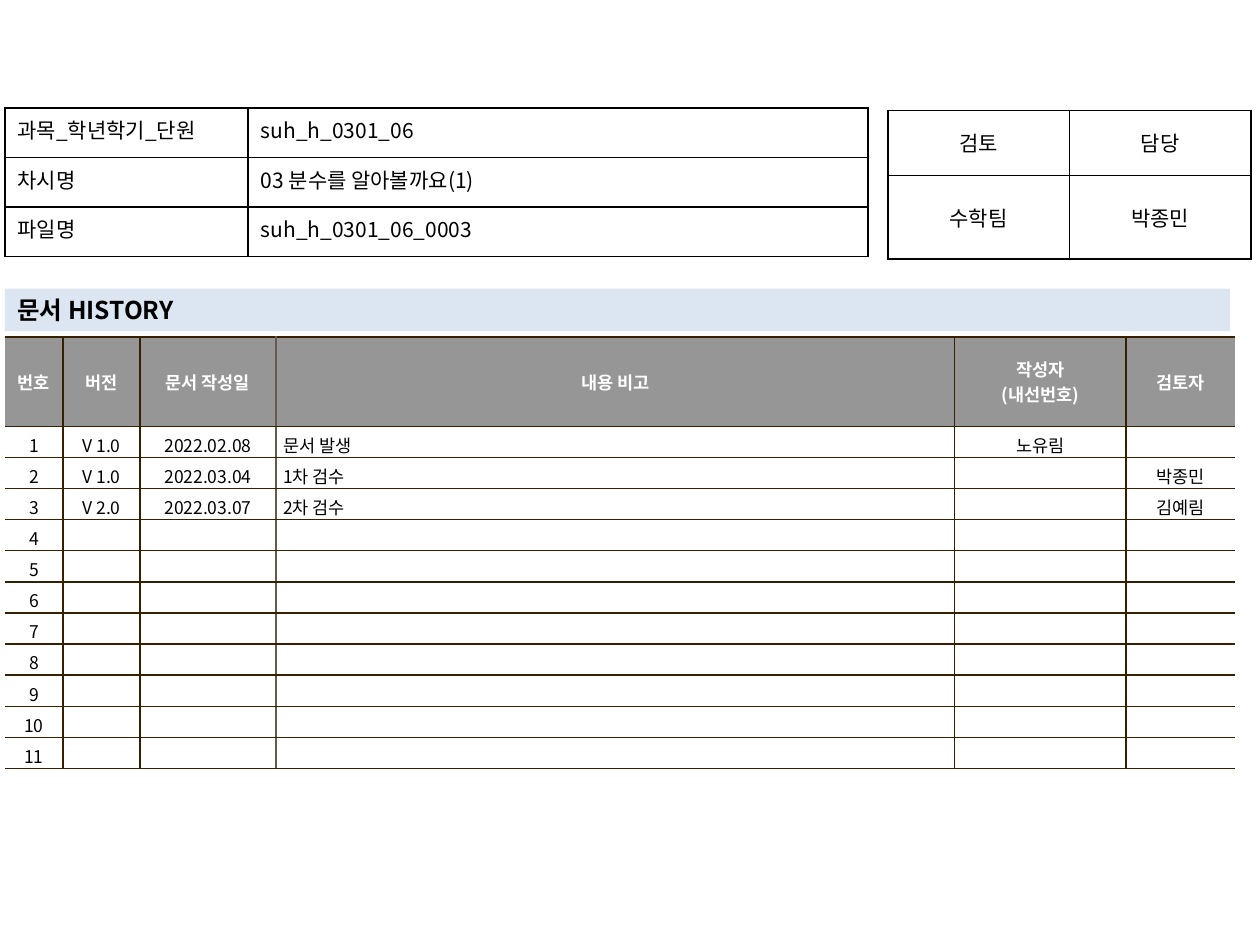
"""Builds a storyboard cover slide with document details and revision history."""
from lxml import etree
from pptx import Presentation
from pptx.dml.color import RGBColor
from pptx.enum.shapes import MSO_SHAPE
from pptx.enum.text import MSO_ANCHOR, PP_ALIGN
from pptx.oxml.ns import qn
from pptx.util import Pt

RECTANGLE = MSO_SHAPE.RECTANGLE
TOP, MIDDLE = MSO_ANCHOR.TOP, MSO_ANCHOR.MIDDLE
LEFT, CENTER, JUSTIFY = PP_ALIGN.LEFT, PP_ALIGN.CENTER, PP_ALIGN.JUSTIFY
FONT = "Noto Sans CJK KR"
BLACK = RGBColor(0x00, 0x00, 0x00)
WHITE = RGBColor(0xFF, 0xFF, 0xFF)
GREY = RGBColor(0x96, 0x96, 0x96)
PALE_BLUE = RGBColor(0xDC, 0xE6, 0xF2)
BROWN = RGBColor(0x36, 0x20, 0x00)
LIGHT_BROWN = RGBColor(0x64, 0x5B, 0x4C)


def write_text(frame, text, size=12, color=BLACK, bold=False, align=LEFT):
    """Fill a text frame with one paragraph per line of text."""
    for index, line in enumerate(text.split("\n")):
        para = frame.add_paragraph() if index else frame.paragraphs[0]
        para.alignment = align
        if not line:
            etree.SubElement(para._p, qn("a:endParaRPr"), sz=str(size * 100))
            continue
        span = para.add_run()
        span.text = line
        span.font.name = FONT
        span.font.size = Pt(size)
        span.font.bold = bold
        span.font.color.rgb = color
        etree.SubElement(span._r.get_or_add_rPr(), qn("a:ea"), typeface=FONT)


def set_borders(cell, colors):
    """Draw left, right, top and bottom cell borders; None leaves a side open."""
    properties = cell._tc.get_or_add_tcPr()
    for index, (side, color) in enumerate(zip(("lnL", "lnR", "lnT", "lnB"), colors)):
        line = etree.Element(qn(f"a:{side}"), w=str(Pt(1)))
        if color is None:
            etree.SubElement(line, qn("a:noFill"))
        else:
            fill = etree.SubElement(line, qn("a:solidFill"))
            etree.SubElement(fill, qn("a:srgbClr"), val=str(color))
        properties.insert(index, line)


def set_cell(cell, text, borders, fill=None, margins=(7.2, 3.6, 3.6), anchor=MIDDLE, **style):
    """Format one table cell and write its text."""
    across, above, below = margins
    cell.margin_left = cell.margin_right = Pt(across)
    cell.margin_top, cell.margin_bottom = Pt(above), Pt(below)
    cell.vertical_anchor = anchor
    if fill is None:
        cell.fill.background()
    else:
        cell.fill.solid()
        cell.fill.fore_color.rgb = fill
    set_borders(cell, borders)
    write_text(cell.text_frame, text, **style)


def add_grid(page, left, top, widths, heights):
    """Add an unbanded table with the given column widths and row heights."""
    frame = page.shapes.add_table(len(heights), len(widths), Pt(left), Pt(top),
                                  Pt(sum(widths)), Pt(sum(heights)))
    table = frame.table
    table.first_row = table.horz_banding = False
    for column, width in zip(table.columns, widths):
        column.width = Pt(width)
    for row, height in zip(table.rows, heights):
        row.height = Pt(height)
    return table


def add_review(page, left, top, width):
    """Add the review and owner table."""
    rows = [("검토", "담당"), ("수학팀", "박종민")]
    table = add_grid(page, left, top, [width / 2] * 2, [37.2, 47.8])
    for y, row in enumerate(rows):
        for x, text in enumerate(row):
            set_cell(table.cell(y, x), text, [BLACK] * 4, align=CENTER)


def add_banner(page, left, top, width, height):
    """Add the heading bar of the history section."""
    box = page.shapes.add_shape(RECTANGLE, Pt(left), Pt(top), Pt(width), Pt(height))
    box.shadow.inherit = False
    box.fill.solid()
    box.fill.fore_color.rgb = PALE_BLUE
    box.line.fill.background()
    box.text_frame.word_wrap = True
    box.text_frame.vertical_anchor = MIDDLE
    write_text(box.text_frame, "문서 HISTORY", size=14, bold=True)


def add_history(page, left, top):
    """Add the revision history table."""
    header = ("번호", "버전", "문서 작성일", "내용 비고", "작성자\n(내선번호)", "검토자")
    entries = [
        ("V 1.0", "2022.02.08", "문서 발생", "노유림", ""),
        ("V 1.0", "2022.03.04", "1차 검수", "", "박종민"),
        ("V 2.0", "2022.03.07", "2차 검수", "", "김예림"),
    ]
    entries += [("",) * 5] * (11 - len(entries))
    rows = [header] + [(str(number), *entry) for number, entry in enumerate(entries, 1)]
    widths = [33.2, 44, 77.6, 388, 97.9, 62.4]
    edges = [None, BROWN, BROWN, LIGHT_BROWN, BROWN, BROWN, None]
    table = add_grid(page, left, top, widths, [51] + [17.8] * 11)
    for y, row in enumerate(rows):
        heading = y == 0
        for x, text in enumerate(row):
            set_cell(table.cell(y, x), text, (edges[x], edges[x + 1], BROWN, BROWN),
                     fill=GREY if heading else WHITE,
                     margins=(4.2, 3.2, 3.2 if heading else 0), size=10,
                     color=WHITE if heading else BLACK, bold=heading,
                     align=LEFT if x == 3 and not heading else CENTER)


def add_details(page, left, top):
    """Add the subject, lesson and file name table."""
    rows = [
        ("과목_학년학기_단원", "suh_h_0301_06"),
        ("차시명", "03 분수를 알아볼까요(1)"),
        ("파일명", "suh_h_0301_06_0003"),
    ]
    table = add_grid(page, left, top, [139, 354.2], [28.3] * 3)
    for y, row in enumerate(rows):
        for x, text in enumerate(row):
            set_cell(table.cell(y, x), text, [BLACK] * 4, anchor=TOP,
                     align=LEFT if x else JUSTIFY)


def main():
    """Build the deck and save it."""
    deck = Presentation()
    deck.slide_width, deck.slide_height = Pt(720), Pt(540)
    page = deck.slides.add_slide(deck.slide_layouts[6])
    margin = 2.8
    add_review(page, 507.4, 63, 207.4)
    add_banner(page, margin, 165, 700.2, 24.2)
    add_history(page, margin, 192.6)
    add_details(page, margin, 61.8)
    deck.save("out.pptx")


main()
